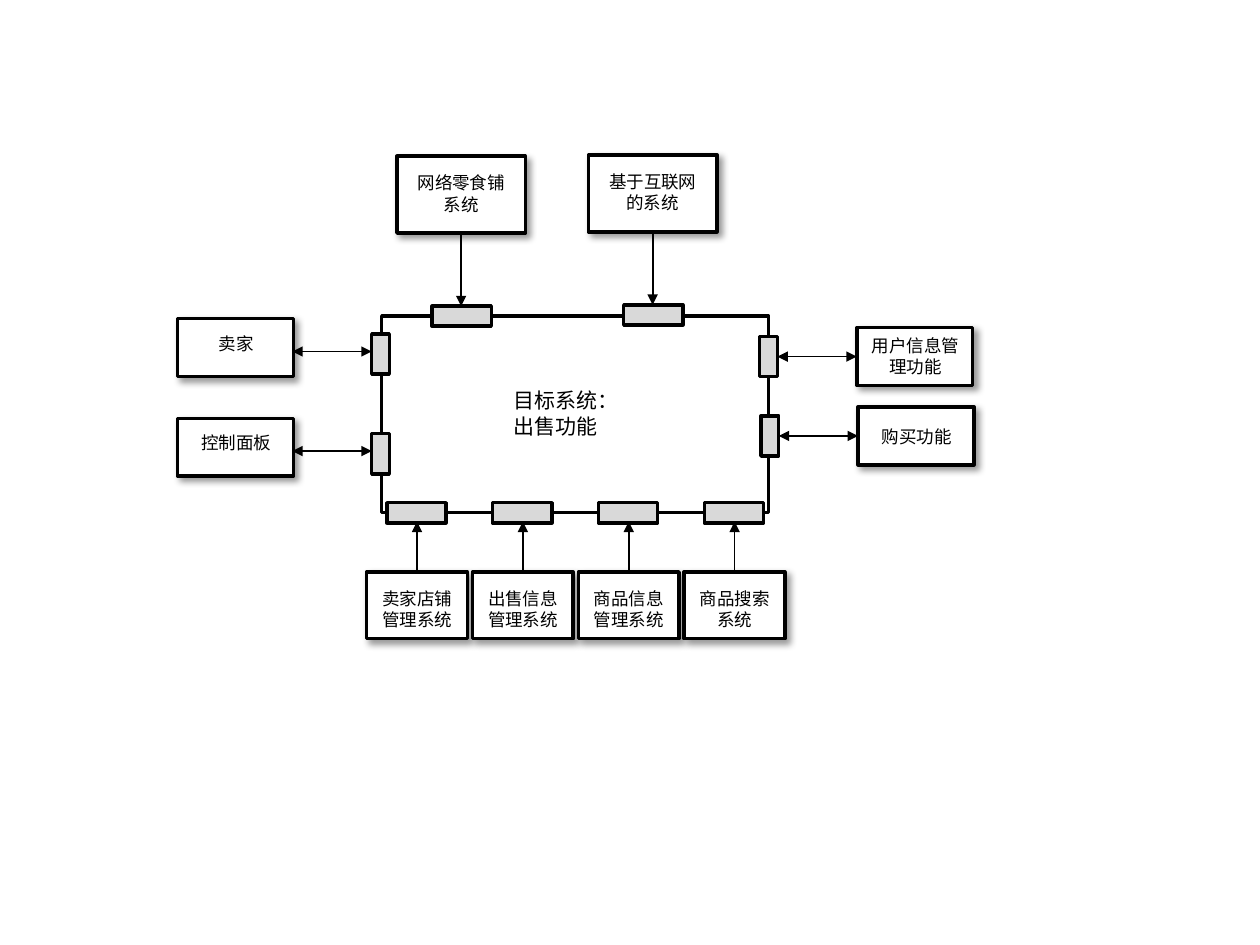
from lxml.etree import SubElement
from pptx import Presentation
from pptx.dml.color import RGBColor
from pptx.enum.shapes import MSO_CONNECTOR as CONNECTOR, MSO_SHAPE as SHAPE
from pptx.enum.text import MSO_AUTO_SIZE as AUTO_SIZE, PP_ALIGN as ALIGN
from pptx.oxml.ns import qn
from pptx.util import Inches, Pt

COLORS = {"ink": "000000", "paper": "FFFFFF", "port": "D9D9D9"}

# Geometry per side; every offset is measured from the top left of the box
SIDES = {
    "top": {"box": (1.02, 0.61), "label": (0.02, 0.98, 0.44),
            "port": (0.28, 1.19, 0.47, 0.16),
            "arrow": (0.51, 0.6, 0.51, 1.19), "both": False},
    "left": {"box": (0.92, 0.46), "label": (0.02, 0.89, 0.27),
             "port": (1.54, 0.12, 0.14, 0.32),
             "arrow": (0.91, 0.26, 1.54, 0.26), "both": True},
    "right": {"box": (0.92, 0.46), "label": (0.02, 0.89, 0.44),
              "port": (-0.77, 0.07, 0.14, 0.32),
              "arrow": (-0.63, 0.23, 0, 0.23), "both": True},
    "bottom": {"box": (0.8, 0.53), "label": (0.02, 0.76, 0.44),
               "port": (0.16, -0.55, 0.47, 0.16),
               "arrow": (0.4, 0, 0.4, -0.4), "both": False},
}

# Side, left, top, label, distance of the label from the top of its box
NEIGHBOURS = [
    ("top", 3.15, 1.24, "网络零食铺系统", 0.08),
    ("top", 4.67, 1.23, "基于互联网的系统", 0.08),
    ("left", 1.41, 2.53, "卖家", 0.06),
    ("left", 1.41, 3.32, "控制面板", 0.06),
    ("right", 6.8, 2.6, "用户信息管理功能", 0.01),
    ("right", 6.81, 3.23, "购买功能", 0.1),
]
MODULES = ["卖家店铺\n管理系统", "出售信息管理系统", "商品信息管理系统", "商品搜索系统"]
MODULE_LEFT, MODULE_TOP, MODULE_STEP = 2.91, 4.54, 0.84


def rgb(name):
    return RGBColor.from_string(COLORS[name])


def add_rect(shapes, left, top, width, height, fill):
    rect = shapes.add_shape(SHAPE.RECTANGLE, *map(Inches, (left, top, width, height)))
    rect.shadow.inherit = False
    rect.fill.solid()
    rect.fill.fore_color.rgb = rgb(fill)
    rect.line.color.rgb = rgb("ink")
    rect.line.width = Pt(2)
    return rect


def add_shadow(rect):
    effects = rect._element.spPr.find(qn("a:effectLst"))
    shadow = SubElement(effects, qn("a:outerShdw"), blurRad=str(Pt(4)),
                        dist=str(Pt(3)), dir=str(45 * 60000),
                        algn="tl", rotWithShape="0")
    color = SubElement(shadow, qn("a:srgbClr"), val=COLORS["ink"])
    SubElement(color, qn("a:alpha"), val="40000")


def add_label(shapes, left, top, width, height, text, size, align, inset):
    label = shapes.add_textbox(*map(Inches, (left, top, width, height)))
    frame = label.text_frame
    frame_format = {"word_wrap": True, "auto_size": AUTO_SIZE.SHAPE_TO_FIT_TEXT,
                    "margin_left": Inches(inset), "margin_right": Inches(inset)}
    for key, value in frame_format.items():
        setattr(frame, key, value)
    frame.text = text
    for paragraph in frame.paragraphs:
        paragraph.alignment = align
        for run in paragraph.runs:
            for key, value in {"name": "Calibri", "size": Pt(size)}.items():
                setattr(run.font, key, value)
            run.font.color.rgb = rgb("ink")


def add_arrow(shapes, x1, y1, x2, y2, both):
    arrow = shapes.add_connector(CONNECTOR.STRAIGHT, *map(Inches, (x1, y1, x2, y2)))
    arrow.line.color.rgb = rgb("ink")
    arrow.line.width = Pt(1)
    line = arrow.line._get_or_add_ln()
    for end in ("a:headEnd", "a:tailEnd") if both else ("a:tailEnd",):
        SubElement(line, qn(end), type="triangle")
    SubElement(arrow._element.spPr, qn("a:effectLst"))


def add_neighbour(shapes, side, left, top, text, label_top):
    layout = SIDES[side]
    # Arrow and port on the border of the target system
    x1, y1, x2, y2 = layout["arrow"]
    add_arrow(shapes, left + x1, top + y1, left + x2, top + y2, layout["both"])
    dx, dy, *port_size = layout["port"]
    add_rect(shapes, left + dx, top + dy, *port_size, "port")
    # Box grouped with its label
    group = shapes.add_group_shape().shapes
    add_shadow(add_rect(group, left, top, *layout["box"], "paper"))
    dx, *label_size = layout["label"]
    add_label(group, left + dx, top + label_top, *label_size, text,
              10, ALIGN.CENTER, 0.09)


def main():
    prs = Presentation()
    prs.slide_width, prs.slide_height = Inches(10), Inches(7.5)
    shapes = prs.slides.add_slide(prs.slide_layouts[6]).shapes

    # Target system
    add_rect(shapes, 3.03, 2.51, 3.07, 1.56, "paper")
    add_label(shapes, 3.98, 3.03, 1.18, 0.5, "目标系统：\n出售功能",
              12, ALIGN.LEFT, 0.1)

    # Surrounding systems
    for neighbour in NEIGHBOURS:
        add_neighbour(shapes, *neighbour)

    # Evenly spaced modules below
    for i, text in enumerate(MODULES):
        add_neighbour(shapes, "bottom", MODULE_LEFT + i * MODULE_STEP,
                      MODULE_TOP, text, 0.08)

    prs.save("out.pptx")


main()
